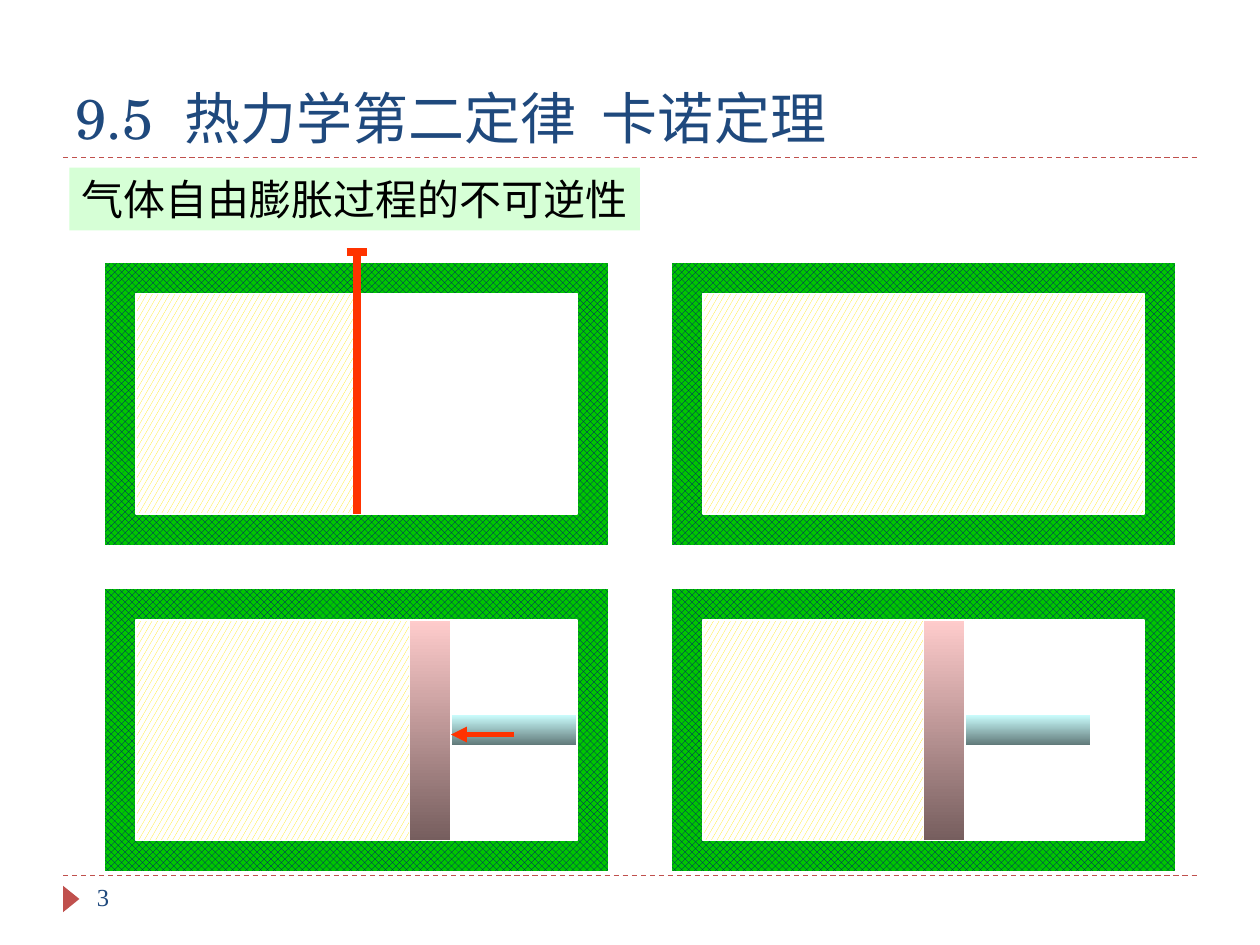
from lxml.etree import SubElement
from pptx import Presentation
from pptx.dml.color import RGBColor
from pptx.enum.dml import MSO_LINE, MSO_PATTERN
from pptx.enum.shapes import MSO_CONNECTOR, MSO_SHAPE
from pptx.enum.text import MSO_ANCHOR, PP_ALIGN
from pptx.oxml.ns import qn
from pptx.util import Inches, Pt

TITLE = "9.5  热力学第二定律  卡诺定理"
SUBTITLE = "气体自由膨胀过程的不可逆性"
PAGE_NUMBER = "3"

NAVY, BRICK, RED, WHITE = "1F497D", "C0504D", "FF3300", "FFFFFF"
WALL = (MSO_PATTERN.OUTLINED_DIAMOND, "01017D", "00C600")
GAS = (MSO_PATTERN.LARGE_CONFETTI, "FFE701", "FFFFFF")
PISTON = ("FFCCCC", "765E5E")
ROD = ("CCFFFF", "5E7676")

# Outer box of a vessel, wall thickness, and the size of the inside
VESSEL_WIDTH, VESSEL_HEIGHT, WALL_THICKNESS = 4, 2.25, 0.25
INNER_WIDTH = VESSEL_WIDTH - 2 * WALL_THICKNESS
INNER_HEIGHT = VESSEL_HEIGHT - 2 * WALL_THICKNESS
COLUMNS, ROWS = (0.83, 5.33), (2.08, 4.67)
PISTON_WIDTH, ROD_LENGTH, ROD_HEIGHT = 0.33, 1, 0.25

# column, row, width of the gas, what stands at its edge
VESSELS = [
    (0, 1, 2.17, "pushed piston"),
    (1, 0, INNER_WIDTH, None),
    (0, 0, INNER_WIDTH / 2, "partition"),
    (1, 1, INNER_WIDTH / 2, "piston"),
]


def color(hex_string):
    return RGBColor.from_string(hex_string)


def add_box(shapes, left, top, width, height, fill, outline=WHITE, kind=MSO_SHAPE.RECTANGLE):
    """Fill is a colour, a (top, bottom) gradient or a (pattern, front, back)."""
    box = shapes.add_shape(kind, Inches(left), Inches(top), Inches(width), Inches(height))
    box.shadow.inherit = False
    if isinstance(fill, str):
        box.fill.solid()
        box.fill.fore_color.rgb = color(fill)
    elif len(fill) == 2:
        box.fill.gradient()
        box.fill.gradient_angle = 270
        for stop, stop_color, position in zip(box.fill.gradient_stops, fill, (0, 1)):
            stop.color.rgb = color(stop_color)
            stop.position = position
    else:
        box.fill.patterned()
        box.fill.pattern = fill[0]
        box.fill.fore_color.rgb = color(fill[1])
        box.fill.back_color.rgb = color(fill[2])
    if outline:
        box.line.color.rgb = color(outline)
        box.line.width = Pt(0.75)
    else:
        box.line.fill.background()
    return box


def add_line(shapes, x1, y1, x2, y2, line_color, width):
    line = shapes.add_connector(
        MSO_CONNECTOR.STRAIGHT, Inches(x1), Inches(y1), Inches(x2), Inches(y2))
    line.line.color.rgb = color(line_color)
    line.line.width = Pt(width)
    SubElement(line._element.spPr, qn("a:effectLst"))
    return line


def write(shape, text, size, font, text_color, anchor):
    shape.text_frame.text = text
    shape.text_frame.vertical_anchor = anchor
    paragraph = shape.text_frame.paragraphs[0]
    paragraph.alignment = PP_ALIGN.LEFT
    paragraph.font.size = Pt(size)
    paragraph.font.name = font
    paragraph.font.color.rgb = color(text_color)


def add_vessel(slide, column, row, gas_width, edge):
    shapes = slide.shapes.add_group_shape().shapes
    left, top = COLUMNS[column], ROWS[row]
    inner_left, inner_top = left + WALL_THICKNESS, top + WALL_THICKNESS
    gas_right = inner_left + gas_width

    add_box(shapes, left, top, VESSEL_WIDTH, VESSEL_HEIGHT, WALL)
    add_box(shapes, inner_left, inner_top, gas_width, INNER_HEIGHT, GAS)
    if edge is None:
        return
    add_box(shapes, gas_right, inner_top, INNER_WIDTH - gas_width, INNER_HEIGHT, WHITE)
    if edge == "partition":
        handle_top = top - 0.08
        add_line(shapes, gas_right, handle_top, gas_right, inner_top + INNER_HEIGHT, RED, 4.5)
        add_line(shapes, gas_right - 0.08, handle_top, gas_right + 0.08, handle_top, RED, 4.5)
        return
    rod_left, rod_top = gas_right + PISTON_WIDTH, inner_top + 0.75
    add_box(shapes, gas_right, inner_top, PISTON_WIDTH, INNER_HEIGHT, PISTON)
    add_box(shapes, rod_left, rod_top, ROD_LENGTH, ROD_HEIGHT, ROD)
    if edge == "pushed piston":
        arrow_y = rod_top + 0.16
        arrow = add_line(shapes, rod_left + ROD_LENGTH / 2, arrow_y, rod_left, arrow_y, RED, 3)
        SubElement(arrow.line._get_or_add_ln(), qn("a:tailEnd"), type="triangle")


def main():
    presentation = Presentation()
    presentation.slide_width, presentation.slide_height = Inches(10), Inches(7.5)
    slide = presentation.slides.add_slide(presentation.slide_layouts[5])

    for y in (6.95, 1.25):
        rule = add_line(slide.shapes, 0.5, y, 9.5, y, BRICK, 0.75)
        rule.line.dash_style = MSO_LINE.DASH
    marker = add_box(slide.shapes, 0.46, 7.07, 0.21, 0.13, BRICK, None,
                     MSO_SHAPE.ISOSCELES_TRIANGLE)
    marker.rotation = 90

    title = slide.shapes.title
    title.left, title.top = Inches(0.5), Inches(0.25)
    title.width, title.height = Inches(9), Inches(1)
    write(title, TITLE, 32, "TeX Gyre Schola", NAVY, MSO_ANCHOR.BOTTOM)

    number = slide.shapes.add_textbox(Inches(0.67), Inches(6.95), Inches(2.17), Inches(0.4))
    number.text_frame.word_wrap = True
    write(number, PAGE_NUMBER, 14, "Times New Roman", NAVY, MSO_ANCHOR.TOP)

    label = add_box(slide.shapes, 0.55, 1.33, 4.53, 0.5, "CCFFCC", None)
    label.text_frame.word_wrap = False
    write(label, SUBTITLE, 24, "Times New Roman", "000000", MSO_ANCHOR.MIDDLE)
    label_color = label._element.spPr.find(qn("a:solidFill")).find(qn("a:srgbClr"))
    SubElement(label_color, qn("a:alpha"), val="80000")

    for vessel in VESSELS:
        add_vessel(slide, *vessel)

    presentation.save("out.pptx")


if __name__ == "__main__":
    main()
